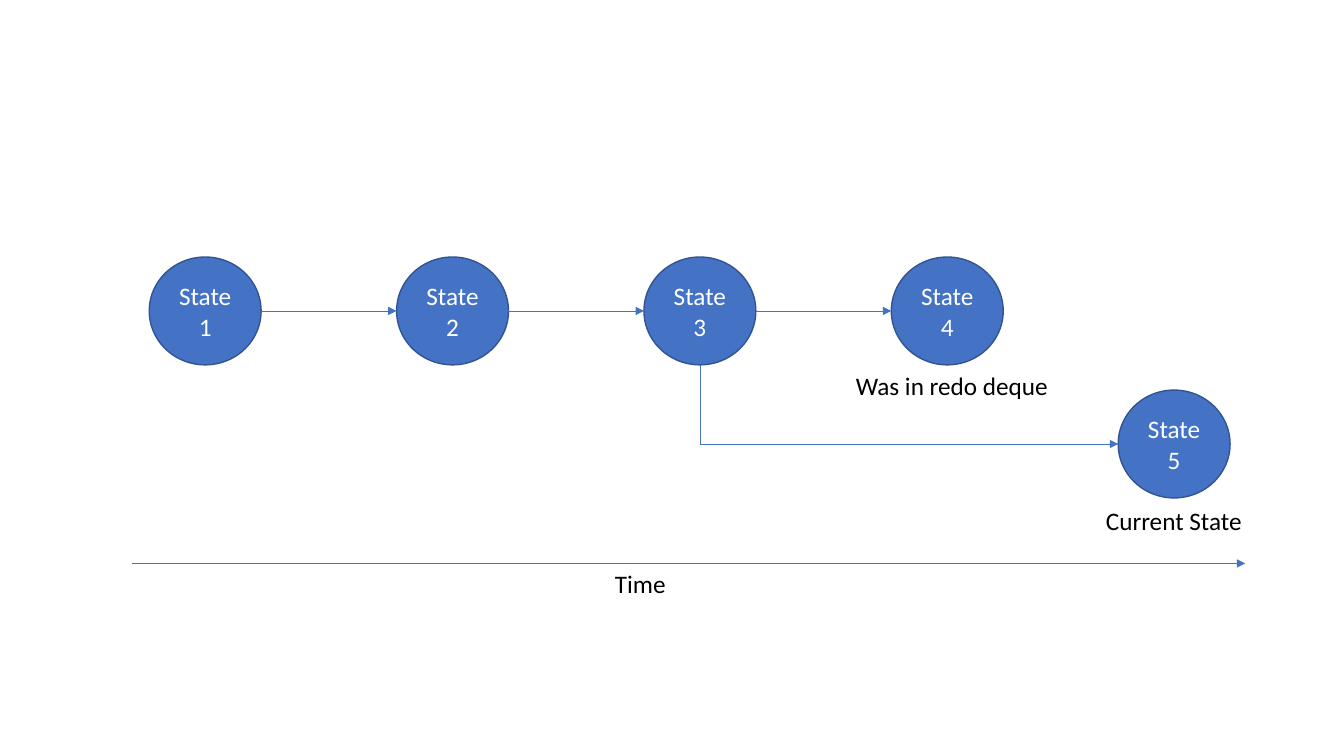
import pptx
import pptx.dml.color
import pptx.enum.shapes
import pptx.enum.text
import pptx.oxml
import pptx.oxml.ns
import pptx.util

Inches = pptx.util.Inches
Pt = pptx.util.Pt
RGBColor = pptx.dml.color.RGBColor
CONNECTOR = pptx.enum.shapes.MSO_CONNECTOR
ALIGN = pptx.enum.text.PP_ALIGN
BLUE = RGBColor(0x44, 0x72, 0xC4)
DARK_BLUE = RGBColor(0x32, 0x54, 0x91)
WHITE = RGBColor(0xFF, 0xFF, 0xFF)
BLACK = RGBColor(0x00, 0x00, 0x00)

STATE_WIDTH, STATE_HEIGHT = 1.11, 1.07
FIRST_LEFT, FOURTH_LEFT, ROW_TOP = 1.48, 8.84, 2.55
STEP = (FOURTH_LEFT - FIRST_LEFT) / 3
BRANCH_LEFT, BRANCH_TOP = 11.09, 3.87

presentation = pptx.Presentation()
presentation.slide_width = Inches(13.33)
presentation.slide_height = Inches(7.5)
slide = presentation.slides.add_slide(presentation.slide_layouts[6])


def write(shape, text, color, alignment):
    paragraph = shape.text_frame.paragraphs[0]
    paragraph.alignment = alignment
    run = paragraph.add_run()
    run.text = text
    run.font.name = "Calibri"
    run.font.size = Pt(18)
    run.font.color.rgb = color


def add_arrow(kind, begin_x, begin_y, end_x, end_y):
    arrow = slide.shapes.add_connector(
        kind, Inches(begin_x), Inches(begin_y), Inches(end_x), Inches(end_y))
    arrow.line.color.rgb = BLUE
    arrow.line.width = Pt(0.5)
    head = pptx.oxml.parse_xml(
        f'<a:tailEnd {pptx.oxml.ns.nsdecls("a")} type="triangle"/>')
    arrow.line._get_or_add_ln().append(head)
    effects = pptx.oxml.parse_xml(f'<a:effectLst {pptx.oxml.ns.nsdecls("a")}/>')
    arrow._element.spPr.append(effects)
    return arrow


states = [(FIRST_LEFT + STEP * index, ROW_TOP) for index in range(4)]
states.append((BRANCH_LEFT, BRANCH_TOP))
for number, (left, top) in enumerate(states, 1):
    state = slide.shapes.add_shape(
        pptx.enum.shapes.MSO_SHAPE.OVAL, Inches(left), Inches(top),
        Inches(STATE_WIDTH), Inches(STATE_HEIGHT))
    state.shadow.inherit = False
    state.fill.solid()
    state.fill.fore_color.rgb = BLUE
    state.line.color.rgb = DARK_BLUE
    state.line.width = Pt(1)
    state.text_frame.word_wrap = True
    state.text_frame.vertical_anchor = pptx.enum.text.MSO_ANCHOR.MIDDLE
    write(state, f"State{number}", WHITE, ALIGN.CENTER)

row_middle = ROW_TOP + STATE_HEIGHT / 2
for (left, _), (next_left, _) in zip(states[:3], states[1:4]):
    add_arrow(CONNECTOR.STRAIGHT, left + STATE_WIDTH, row_middle, next_left, row_middle)

branch_x = states[2][0] + STATE_WIDTH / 2
branch_y = ROW_TOP + STATE_HEIGHT
drop = BRANCH_TOP + STATE_HEIGHT / 2 - branch_y
reach = BRANCH_LEFT - branch_x
center_x, center_y = branch_x + reach / 2, branch_y + drop / 2
branch = add_arrow(CONNECTOR.ELBOW, center_x + drop / 2, center_y - reach / 2,
                   center_x - drop / 2, center_y + reach / 2)
branch._element.spPr.prstGeom.set("prst", "bentConnector2")
branch._element.spPr.xfrm.set("rot", str(270 * 60000))

add_arrow(CONNECTOR.STRAIGHT, 1.31, 5.59, 12.35, 5.59)

for text, left, top, width in (
    ("Time", 6, 5.59, 0.77),
    ("Current State", 10.87, 4.96, 1.56),
    ("Was in redo deque", 8.39, 3.62, 2.25),
):
    label = slide.shapes.add_textbox(
        Inches(left), Inches(top), Inches(width), Inches(0.4))
    label.text_frame.word_wrap = True
    label.text_frame.auto_size = pptx.enum.text.MSO_AUTO_SIZE.SHAPE_TO_FIT_TEXT
    write(label, text, BLACK, ALIGN.LEFT)

presentation.save("out.pptx")
